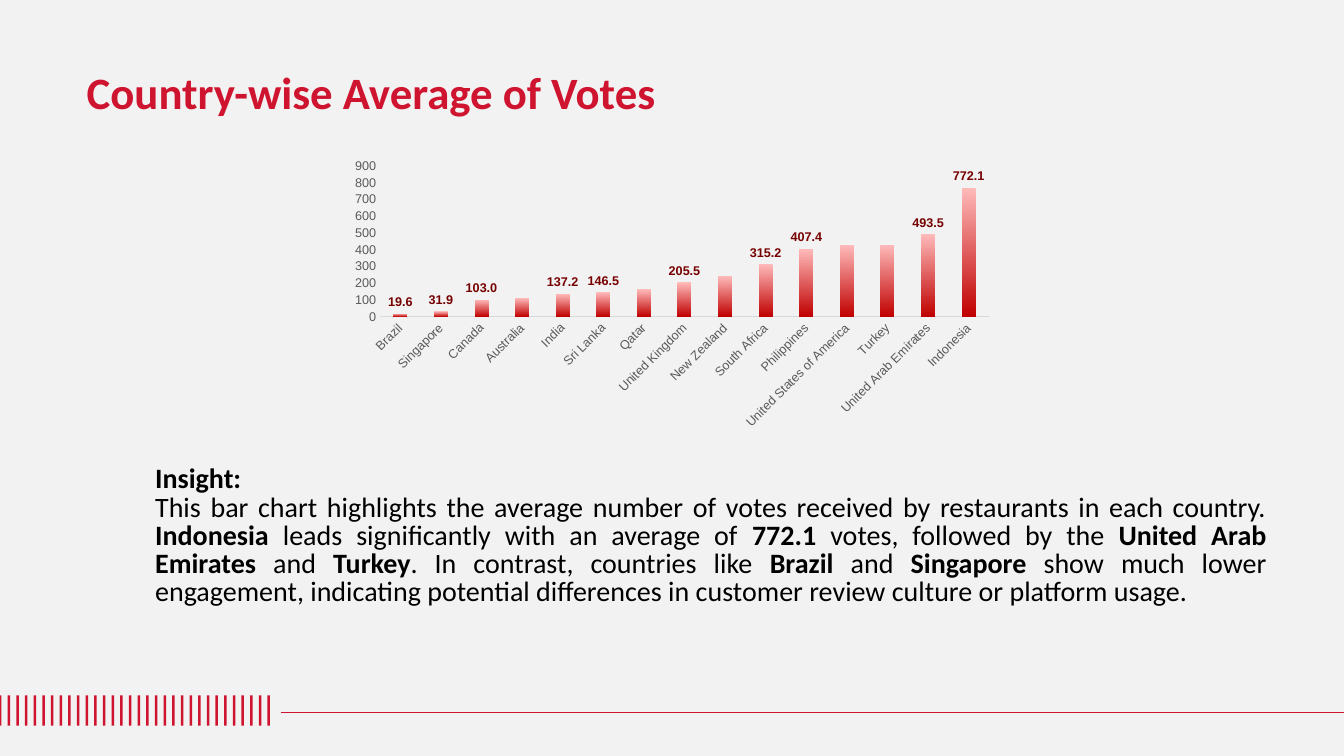
"""Build the slide on average votes by country."""
from dataclasses import dataclass

from lxml.etree import SubElement
from pptx import Presentation
from pptx.chart.data import CategoryChartData as ChartData
from pptx.dml.color import RGBColor as RGB
from pptx.enum.chart import XL_CHART_TYPE as Kind
from pptx.enum.chart import XL_LABEL_POSITION as Spot
from pptx.enum.chart import XL_TICK_MARK as Tick
from pptx.enum.shapes import MSO_CONNECTOR as Link
from pptx.enum.shapes import MSO_SHAPE as Shape
from pptx.enum.text import MSO_ANCHOR as Anchor
from pptx.enum.text import MSO_AUTO_SIZE as Fit
from pptx.enum.text import PP_ALIGN as Align
from pptx.oxml.ns import qn
from pptx.util import Inches, Pt


@dataclass(frozen=True)
class Theme:
    """Colours, fonts and type sizes."""
    back: RGB = RGB.from_string("F2F2F2")
    red: RGB = RGB.from_string("CF142F")
    ink: RGB = RGB.from_string("000000")
    gray: RGB = RGB.from_string("595959")
    rule: RGB = RGB.from_string("D9D9D9")
    pale: RGB = RGB.from_string("FFBABA")
    deep: RGB = RGB.from_string("C00000")
    label: RGB = RGB.from_string("760000")
    text: str = "Calibri"
    plot: str = "Arial"
    head: Pt = Pt(32)
    body: Pt = Pt(20)
    chart: Pt = Pt(10)
    small: Pt = Pt(9)
    thin: Pt = Pt(0.75)


THEME = Theme()

VOTES = {
    "Brazil": 19.6, "Singapore": 31.9, "Canada": 103.0, "Australia": 111.4,
    "India": 137.2, "Sri Lanka": 146.5, "Qatar": 163.8,
    "United Kingdom": 205.5, "New Zealand": 243.0, "South Africa": 315.2,
    "Philippines": 407.4, "United States of America": 428.2,
    "Turkey": 431.5, "United Arab Emirates": 493.5, "Indonesia": 772.1,
}
BARE = ("Australia", "Qatar", "New Zealand", "United States of America",
        "Turkey")

INSIGHT = (
    "**Insight:**",
    "This bar chart highlights the average number of votes received by "
    "restaurants in each country. **Indonesia** leads significantly with an "
    "average of **772.1** votes, followed by the **United Arab Emirates** "
    "and **Turkey**. In contrast, countries like **Brazil** and "
    "**Singapore** show much lower engagement, indicating potential "
    "differences in customer review culture or platform usage.",
)


def apply(item, **values):
    """Set each value as an attribute of the item."""
    for name, value in values.items():
        setattr(item, name, value)


def style(font, name, size, color, bold=False):
    """Format a font."""
    apply(font, name=name, size=size, bold=bold)
    font.color.rgb = color


def box(left, top, width, height):
    """Return a place in inches as named lengths."""
    names = ("left", "top", "width", "height")
    return dict(zip(names, map(Inches, (left, top, width, height))))


def add_title(slide, text):
    """Place and format the title."""
    title = slide.shapes.title
    apply(title, **box(0.76, 0.65, 6.81, 0.61))
    frame = title.text_frame
    apply(frame, text=text, word_wrap=True, auto_size=Fit.NONE,
          vertical_anchor=Anchor.TOP)
    line = frame.paragraphs[0]
    apply(line, alignment=Align.LEFT, line_spacing=0.9)
    style(line.runs[0].font, THEME.text, THEME.head, THEME.red, True)


def add_bars(slide, count=32, pitch=0.0859):
    """Draw the row of upright bars and the line at the foot."""
    for step in range(count):
        place = box(-0.01 + step * pitch, 6.9, 0.025, 0.3)
        bar = slide.shapes.add_shape(Shape.RECTANGLE, **place)
        bar.shadow.inherit = False
        bar.fill.solid()
        bar.fill.fore_color.rgb = THEME.red
        bar.line.fill.background()
    ends = map(Inches, (2.79, 7.07, 13.33, 7.07))
    line = slide.shapes.add_connector(Link.STRAIGHT, *ends)
    line.line.color.rgb = THEME.red
    line.line.width = THEME.thin
    SubElement(line._element.spPr, qn("a:effectLst"))


def style_axis(axis):
    """Format one axis of the chart."""
    apply(axis, has_major_gridlines=False, major_tick_mark=Tick.NONE,
          minor_tick_mark=Tick.NONE)
    style(axis.tick_labels.font, THEME.plot, THEME.small, THEME.gray)


def hide_labels(labels, spots):
    """Remove the value labels at the given points."""
    for place, spot in enumerate(spots):
        node = SubElement(labels._element, qn("c:dLbl"))
        SubElement(node, qn("c:idx")).set("val", str(spot))
        SubElement(node, qn("c:delete")).set("val", "1")
        labels._element.insert(place, node)


def style_series(series):
    """Give the columns a gradient and value labels."""
    fill = series.format.fill
    fill.gradient()
    fill.gradient_angle = 270
    for stop, color in zip(fill.gradient_stops, (THEME.pale, THEME.deep)):
        stop.color.rgb = color
    labels = series.data_labels
    apply(labels, show_value=True, position=Spot.OUTSIDE_END,
          number_format="0.0", number_format_is_linked=False)
    style(labels.font, THEME.plot, THEME.small, THEME.label, True)
    names = list(VOTES)
    hide_labels(labels, map(names.index, BARE))


def add_votes(slide):
    """Add the column chart of average votes."""
    data = ChartData()
    data.categories = list(VOTES)
    data.add_series("Series 1", list(VOTES.values()))
    place = box(3.39, 1.52, 6.55, 2.8)
    chart = slide.shapes.add_chart(
        Kind.COLUMN_CLUSTERED, *place.values(), data).chart
    apply(chart, has_title=False, has_legend=False)
    style(chart.font, THEME.plot, THEME.chart, THEME.ink)
    plot = chart.plots[0]
    apply(plot, gap_width=190, overlap=-27, vary_by_categories=False)
    style_series(plot.series[0])
    names, scale = chart.category_axis, chart.value_axis
    for axis in (names, scale):
        style_axis(axis)
    names.format.line.color.rgb = THEME.rule
    names.format.line.width = THEME.thin
    names._element.find(".//" + qn("a:bodyPr")).set("rot", "-2700000")
    apply(scale, minimum_scale=0, maximum_scale=900, major_unit=100)
    scale.format.line.fill.background()


def add_insight(slide):
    """Write the insight, with bold between double stars."""
    place = box(1.44, 4.58, 11.22, 1.84)
    frame = slide.shapes.add_textbox(**place).text_frame
    apply(frame, word_wrap=True, auto_size=Fit.NONE)
    for row, text in enumerate(INSIGHT):
        line = frame.add_paragraph() if row else frame.paragraphs[0]
        apply(line, alignment=Align.JUSTIFY, line_spacing=Pt(20))
        for turn, part in enumerate(text.split("**")):
            if part:
                run = line.add_run()
                run.text = part
                style(run.font, THEME.text, THEME.body, THEME.ink,
                      turn % 2 == 1)


def main():
    """Build and save the slide."""
    deck = Presentation()
    apply(deck, slide_width=Inches(13.33), slide_height=Inches(7.5))
    slide = deck.slides.add_slide(deck.slide_layouts[5])
    slide.background.fill.solid()
    slide.background.fill.fore_color.rgb = THEME.back
    add_bars(slide)
    add_votes(slide)
    add_insight(slide)
    add_title(slide, "Country-wise Average of Votes")
    deck.save("out.pptx")


if __name__ == "__main__":
    main()
